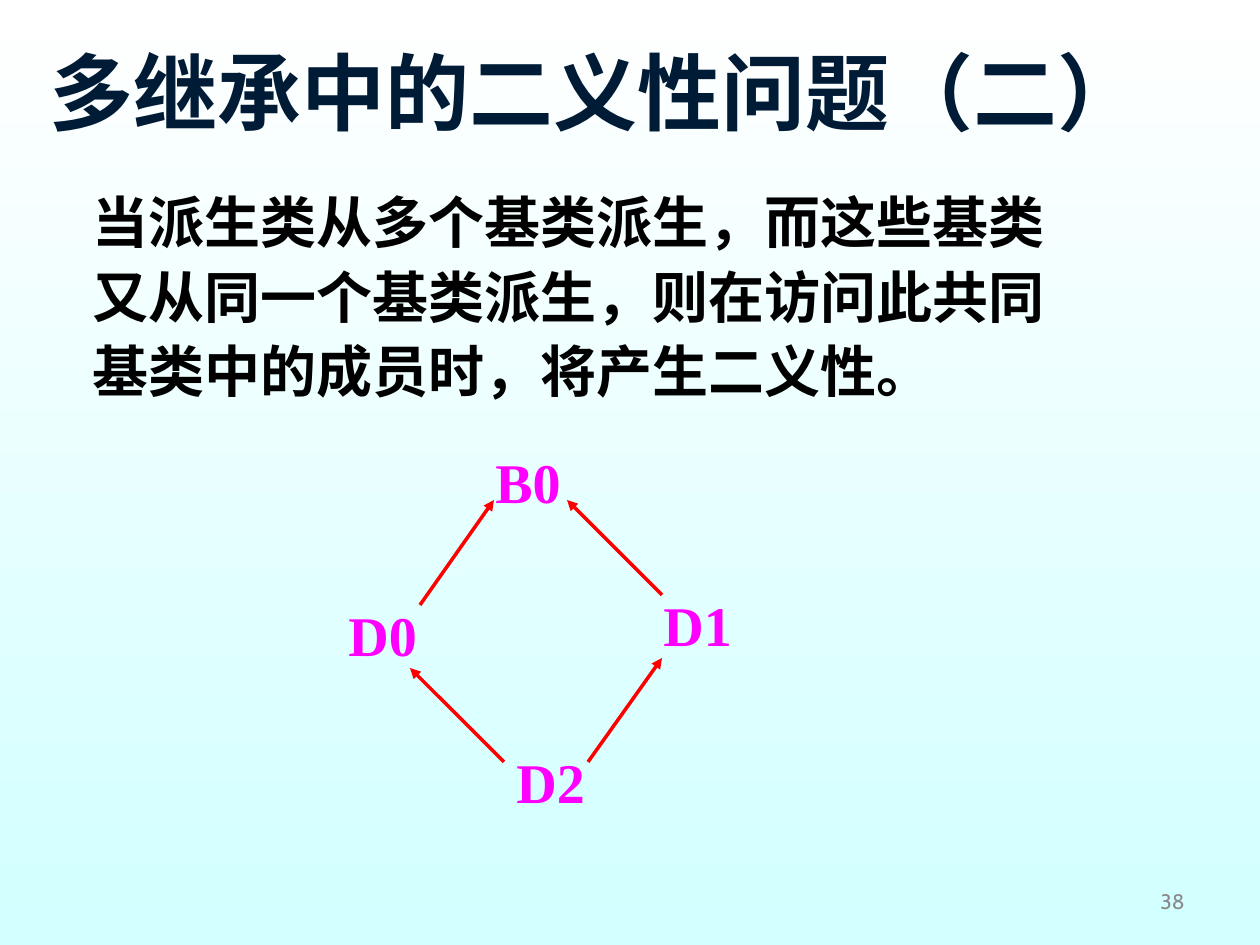
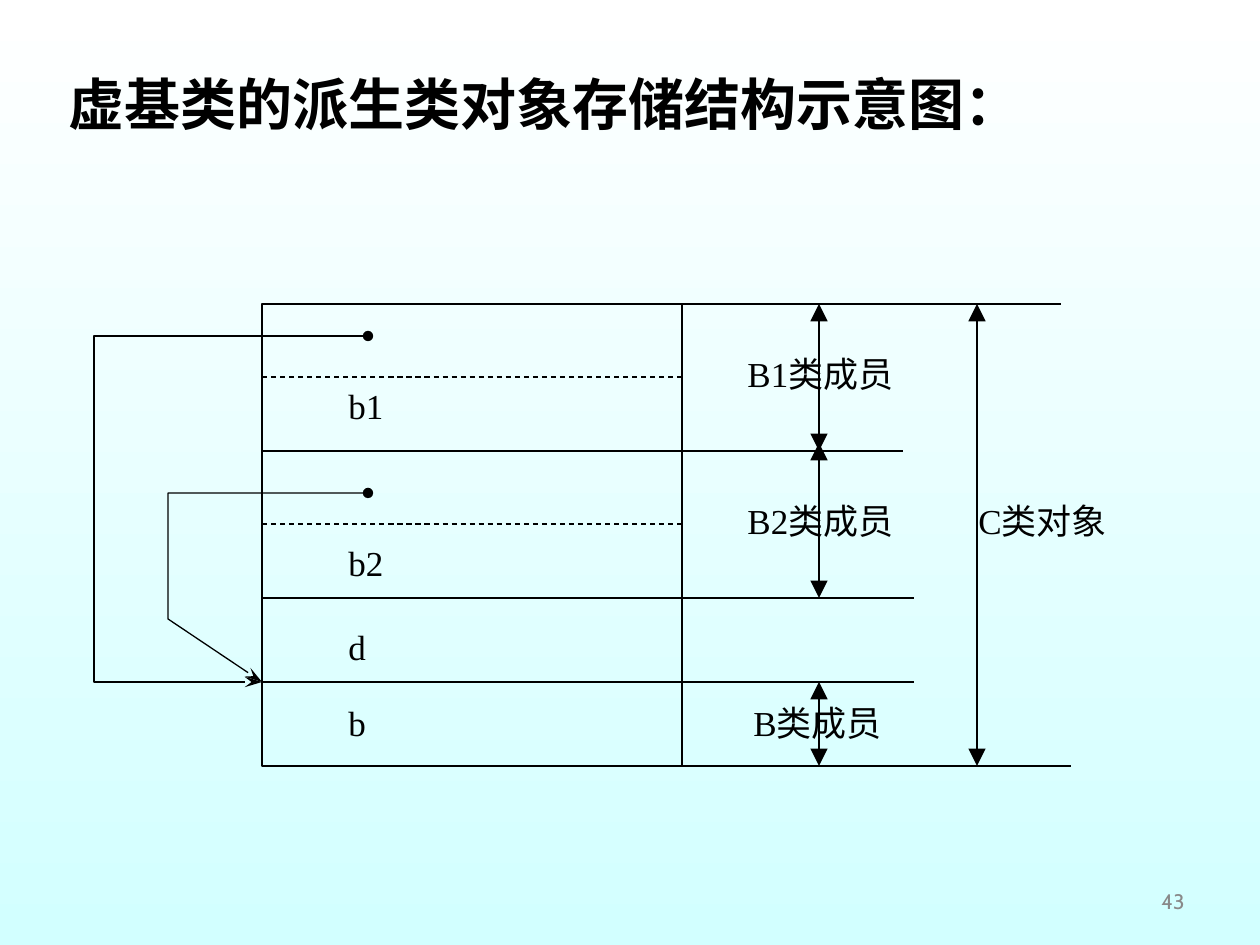
import pptx
import pptx.util
import pptx.dml.color
import pptx.enum.dml
import pptx.enum.shapes
import pptx.enum.text
import pptx.oxml.ns
import lxml.etree

RGB = pptx.dml.color.RGBColor
WHITE = RGB(0xFF, 0xFF, 0xFF)
AQUA = RGB(0xD2, 0xFF, 0xFF)
NAVY = RGB(0x00, 0x1B, 0x36)
BLACK = RGB(0, 0, 0)
PINK = RGB(0xFF, 0, 0xFF)
RED = RGB(0xFF, 0, 0)
GRAY = RGB(0x89, 0x89, 0x89)
SANS, SERIF, FOOT = "Arial", "Times New Roman", "Cabin"
SCALE = 914400 / 126
DASH = pptx.enum.dml.MSO_LINE.DASH
OVAL = {"type": "oval"}
SMALL = {"type": "triangle"}
LARGE = {"type": "triangle", "w": "lg", "len": "lg"}
BARB = {"type": "stealth", "w": "med", "len": "lg"}


def px(num):
    return round(num * SCALE)


def put_text(slide, text, box, size=20, font=SERIF, color=BLACK, bold=False,
             wrap=True, grow=True, right=False, middle=False,
             before=0, lead=None, indent=0):
    frame = slide.shapes.add_textbox(*map(px, box)).text_frame
    frame.word_wrap = wrap
    if grow:
        frame.auto_size = pptx.enum.text.MSO_AUTO_SIZE.SHAPE_TO_FIT_TEXT
    if middle:
        frame.vertical_anchor = pptx.enum.text.MSO_ANCHOR.MIDDLE
    frame.text = text
    for para in frame.paragraphs:
        para.space_before = pptx.util.Pt(before)
        if lead:
            para.line_spacing = lead
        if right:
            para.alignment = pptx.enum.text.PP_ALIGN.RIGHT
        if indent:
            para._p.get_or_add_pPr().set("marL", str(px(indent)))
        face = para.runs[0].font
        face.name, face.bold = font, bold
        face.size = pptx.util.Pt(size)
        face.color.rgb = color


def style_line(shape, color=BLACK, width=0.75, dash=None, head=None, tail=None):
    line = shape.line
    line.color.rgb = color
    line.width = pptx.util.Pt(width)
    if dash:
        line.dash_style = dash
    for tag, tip in (("a:headEnd", head), ("a:tailEnd", tail)):
        if tip:
            lxml.etree.SubElement(line._get_or_add_ln(), pptx.oxml.ns.qn(tag), tip)


def put_line(slide, start, stop, **style):
    kind = pptx.enum.shapes.MSO_CONNECTOR.STRAIGHT
    link = slide.shapes.add_connector(kind, *map(px, (*start, *stop)))
    style_line(link, **style)
    lxml.etree.SubElement(link._element.spPr, pptx.oxml.ns.qn("a:effectLst"))


def put_path(slide, points, **style):
    spots = [(px(x), px(y)) for x, y in points]
    pen = slide.shapes.build_freeform(*spots[0])
    pen.add_line_segments(spots[1:], close=False)
    shape = pen.convert_to_shape()
    shape.shadow.inherit = False
    shape.fill.background()
    style_line(shape, **style)


def paint_back(master):
    fill = master.background.fill
    fill.gradient()
    fill.gradient_angle = 270
    for stop, place, color in zip(fill.gradient_stops, (0, 1), (WHITE, AQUA)):
        stop.position = place
        stop.color.rgb = color


def add_slide(deck, title, box, number, size=32, color=BLACK):
    slide = deck.slides.add_slide(deck.slide_layouts[6])
    put_text(slide, title, box, size=size, font=SANS, color=color, bold=True)
    put_text(slide, number, (903, 876, 294, 50), size=12, font=FOOT, color=GRAY,
             grow=False, right=True, middle=True)
    return slide


def draw_diamond(slide, left, top):
    nodes = {"B0": (147, 0), "D0": (0, 153), "D1": (315, 143), "D2": (168, 300)}
    for name, (x, y) in nodes.items():
        put_text(slide, name, (left + x, top + y, 179, 81), size=32, color=PINK, bold=True)
    links = [(84, 164, 158, 59), (326, 154, 231, 59),
             (252, 321, 326, 217), (168, 321, 74, 227)]
    for x, y, endx, endy in links:
        put_line(slide, (left + x, top + y), (left + endx, top + endy),
                 color=RED, width=2, tail=SMALL)


def draw_store(slide, left, top):
    column, height = 420, 462

    def move(*points):
        return [(left + x, top + y) for x, y in points]

    put_path(slide, move((799, 0), (0, 0), (0, height), (809, height)))
    put_line(slide, *move((column, 0), (column, height)))
    rows = [(73, column, DASH), (147, 641, None), (220, column, DASH),
            (294, 652, None), (378, 652, None)]
    for y, width, dash in rows:
        put_line(slide, *move((0, y), (width, y)), dash=dash)

    spans = [(557, 0, 147), (557, 139, 294), (557, 378, height), (715, 0, height)]
    for x, start, stop in spans:
        put_line(slide, *move((x, start), (x, stop)), head=LARGE, tail=LARGE)

    routes = [[(106, 32), (-168, 32), (-168, 378), (0, 378)],
              [(106, 189), (-94, 189), (-94, 315), (0, 378)]]
    for route in routes:
        put_path(slide, move(*route), head=OVAL, tail=BARB)

    labels = [("b1", 74, 74, 73, True), ("b2", 74, 231, 73, True),
              ("d", 74, 315, 42, True), ("b", 74, 391, 43, False),
              ("B1类成员", 473, 42, 231, True), ("B2类成员", 473, 189, 210, True),
              ("B类成员", 479, 391, 163, False), ("C类对象", 704, 189, 158, True)]
    for text, x, y, width, wrap in labels:
        put_text(slide, text, (left + x, top + y, width, 55), wrap=wrap)


def main():
    deck = pptx.Presentation()
    deck.slide_width, deck.slide_height = px(1260), px(945)
    paint_back(deck.slide_master)

    slide = add_slide(deck, "多继承中的二义性问题（二）", (37, 34, 1150, 113), "38",
                      size=48, color=NAVY)
    body = ("当派生类从多个基类派生，而这些基类\n"
            "又从同一个基类派生，则在访问此共同\n"
            "基类中的成员时，将产生二义性。")
    put_text(slide, body, (42, 189, 1103, 223), size=32, font=SANS, bold=True,
             before=8, lead=0.9, indent=38)
    draw_diamond(slide, 336, 441)

    slide = add_slide(deck, "虚基类的派生类对象存储结构示意图：", (56, 63, 1000, 81), "43")
    draw_store(slide, 262, 304)
    deck.save("out.pptx")


if __name__ == "__main__":
    main()
